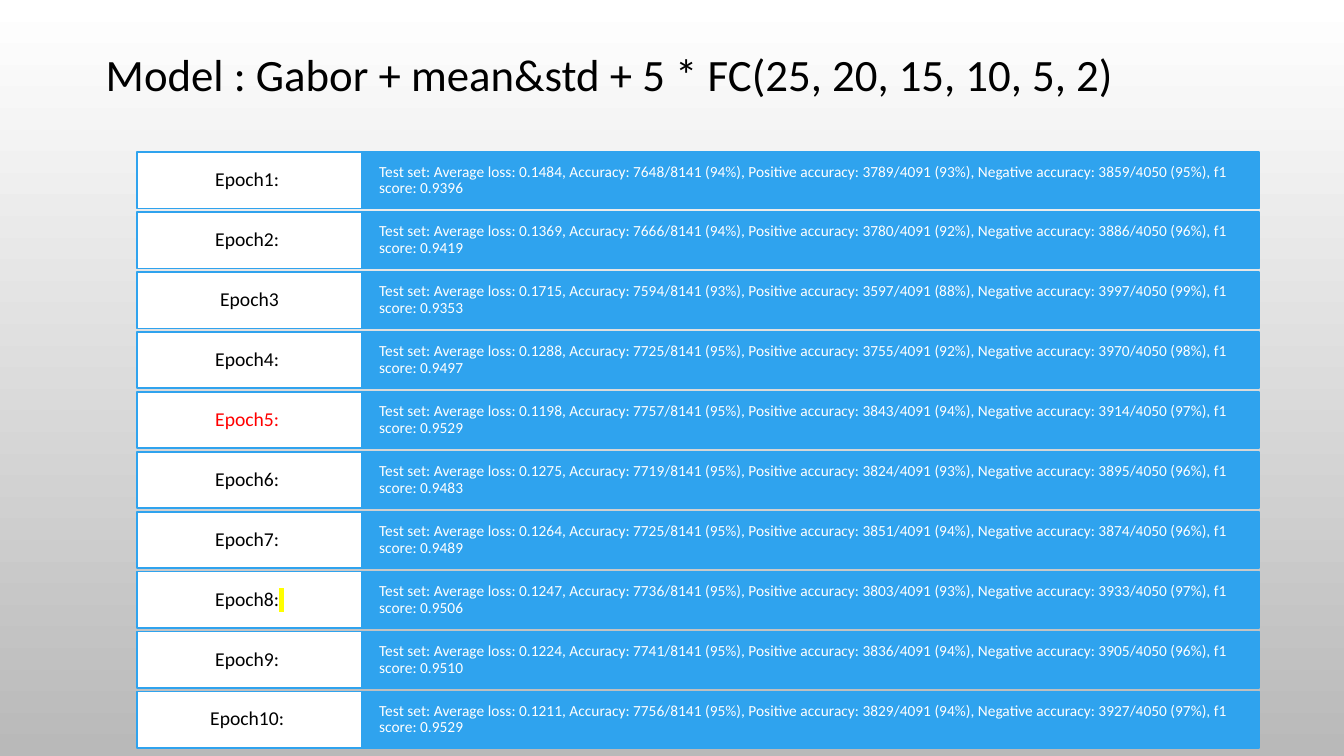
from dataclasses import dataclass

from lxml import etree
from pptx import Presentation
from pptx.dml.color import RGBColor
from pptx.enum.shapes import MSO_SHAPE
from pptx.enum.text import MSO_ANCHOR, MSO_AUTO_SIZE, PP_ALIGN
from pptx.oxml.ns import qn
from pptx.util import Inches, Pt

RECTANGLE = MSO_SHAPE.RECTANGLE
MIDDLE = MSO_ANCHOR.MIDDLE
GROW = MSO_AUTO_SIZE.SHAPE_TO_FIT_TEXT
LEFT, CENTER = PP_ALIGN.LEFT, PP_ALIGN.CENTER


@dataclass(frozen=True)
class Theme:
    font: str = "Calibri"
    title_size: float = 32
    label_size: float = 14
    result_size: float = 11
    black: str = "000000"
    white: str = "FFFFFF"
    blue: str = "2FA3EE"
    red: str = "FF0000"
    yellow: str = "FFFF00"
    gray: str = "B9B9B9"


THEME = Theme()

LABEL_LEFT, LABEL_WIDTH = 1.36, 2.23
RESULT_LEFT, RESULT_WIDTH = LABEL_LEFT + LABEL_WIDTH, 8.9
FIRST_TOP, LAST_TOP, ROW_HEIGHT = 1.51, 6.86, 0.56

POSITIVES, NEGATIVES = 4091, 4050
BEST_EPOCH = 5
UNPUNCTUATED_EPOCH = 3
HIGHLIGHTED_EPOCH = 8
EPOCHS = [
    ("0.1484", 3789, 3859, "0.9396"),
    ("0.1369", 3780, 3886, "0.9419"),
    ("0.1715", 3597, 3997, "0.9353"),
    ("0.1288", 3755, 3970, "0.9497"),
    ("0.1198", 3843, 3914, "0.9529"),
    ("0.1275", 3824, 3895, "0.9483"),
    ("0.1264", 3851, 3874, "0.9489"),
    ("0.1247", 3803, 3933, "0.9506"),
    ("0.1224", 3836, 3905, "0.9510"),
    ("0.1211", 3829, 3927, "0.9529"),
]


def rgb(value):
    return RGBColor.from_string(value)


def style_paragraph(paragraph, size, color):
    paragraph.font.name = THEME.font
    paragraph.font.size = Pt(size)
    paragraph.font.color.rgb = rgb(color)


def paint_background(slide):
    fill = slide.background.fill
    fill.gradient()
    fill.gradient_angle = 270
    for stop, color in zip(fill.gradient_stops, (THEME.white, THEME.gray)):
        stop.color.rgb = rgb(color)


def add_title(slide, text):
    box = slide.shapes.add_textbox(Inches(0.95), Inches(0.41), Inches(12.39), Inches(0.64))
    frame = box.text_frame
    frame.word_wrap = True
    frame.auto_size = GROW
    frame.text = text
    style_paragraph(frame.paragraphs[0], THEME.title_size, THEME.black)


def add_cell(slide, left, top, width, fill, inset_x, inset_y, text, size, color, alignment):
    shape = slide.shapes.add_shape(
        RECTANGLE, Inches(left), Inches(top), Inches(width), Inches(ROW_HEIGHT)
    )
    shape.shadow.inherit = False
    shape.fill.solid()
    shape.fill.fore_color.rgb = rgb(fill)
    shape.line.color.rgb = rgb(THEME.blue)
    shape.line.width = Pt(1.25)
    frame = shape.text_frame
    frame.word_wrap = True
    frame.vertical_anchor = MIDDLE
    frame.margin_left = frame.margin_right = Inches(inset_x)
    frame.margin_top = frame.margin_bottom = Inches(inset_y)
    frame.text = text
    paragraph = frame.paragraphs[0]
    paragraph.alignment = alignment
    paragraph.line_spacing = 0.9
    style_paragraph(paragraph, size, color)
    return paragraph


def add_highlighted_space(paragraph):
    run = paragraph.add_run()
    run.text = " "
    highlight = etree.SubElement(run.font._element, qn("a:highlight"))
    etree.SubElement(highlight, qn("a:srgbClr"), val=THEME.yellow)


def ratio(correct, total):
    return f"{correct}/{total} ({correct / total:.0%})"


def result_text(loss, positive, negative, score):
    return (
        f"Test set: Average loss: {loss}, "
        f"Accuracy: {ratio(positive + negative, POSITIVES + NEGATIVES)}, "
        f"Positive accuracy: {ratio(positive, POSITIVES)}, "
        f"Negative accuracy: {ratio(negative, NEGATIVES)}, f1 score: {score}"
    )


def label_text(epoch):
    endings = {UNPUNCTUATED_EPOCH: "", HIGHLIGHTED_EPOCH: ":"}
    return f"Epoch{epoch}" + endings.get(epoch, ": ")


def add_epoch_row(slide, epoch, top, result):
    add_cell(slide, RESULT_LEFT, top, RESULT_WIDTH, THEME.blue, 0.17, 0.14,
             result_text(*result), THEME.result_size, THEME.white, LEFT)
    color = THEME.red if epoch == BEST_EPOCH else THEME.black
    label = add_cell(slide, LABEL_LEFT, top, LABEL_WIDTH, THEME.white, 0.12, 0.06,
                     label_text(epoch), THEME.label_size, color, CENTER)
    if epoch == HIGHLIGHTED_EPOCH:
        add_highlighted_space(label)


def main():
    presentation = Presentation()
    presentation.slide_width = Inches(13.33)
    presentation.slide_height = Inches(7.5)
    slide = presentation.slides.add_slide(presentation.slide_layouts[6])
    paint_background(slide)
    pitch = (LAST_TOP - FIRST_TOP) / (len(EPOCHS) - 1)
    for index, result in enumerate(EPOCHS):
        add_epoch_row(slide, index + 1, FIRST_TOP + index * pitch, result)
    add_title(slide, "Model : Gabor + mean&std + 5 * FC(25, 20, 15, 10, 5, 2)")
    presentation.save("out.pptx")


if __name__ == "__main__":
    main()
